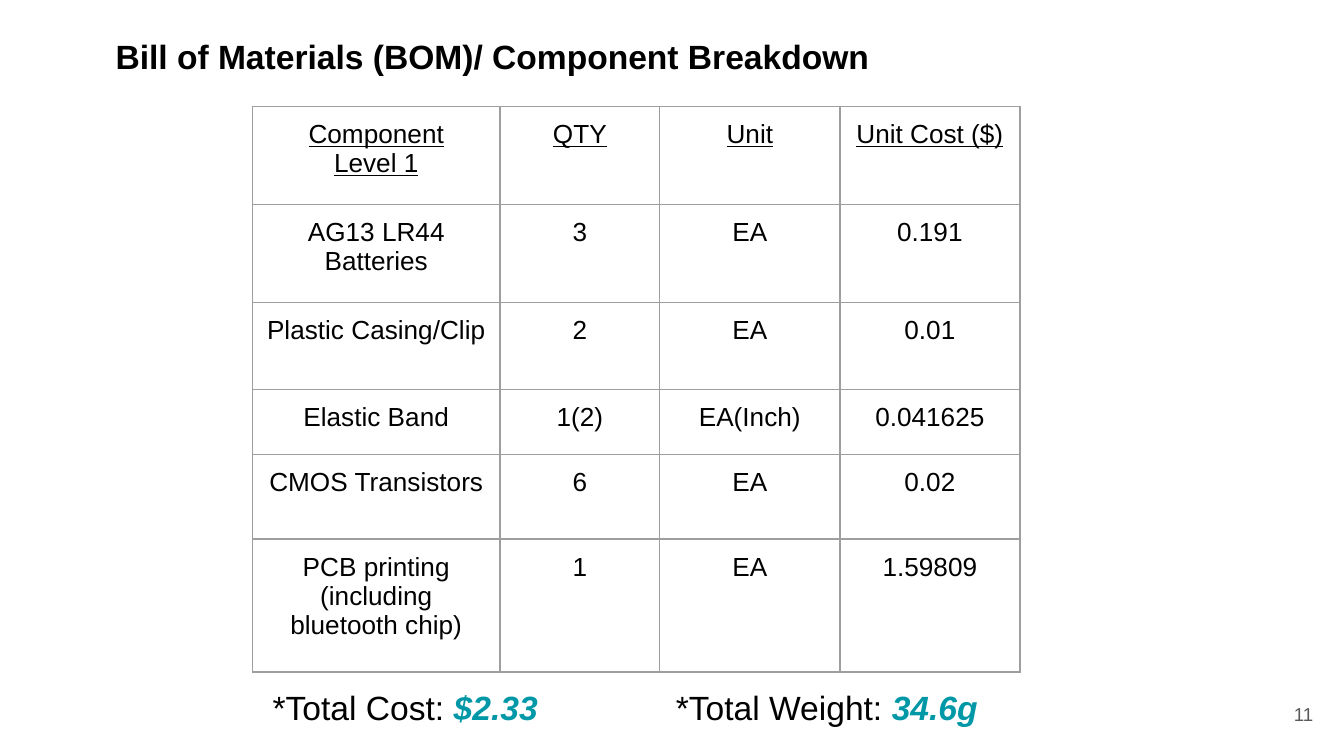
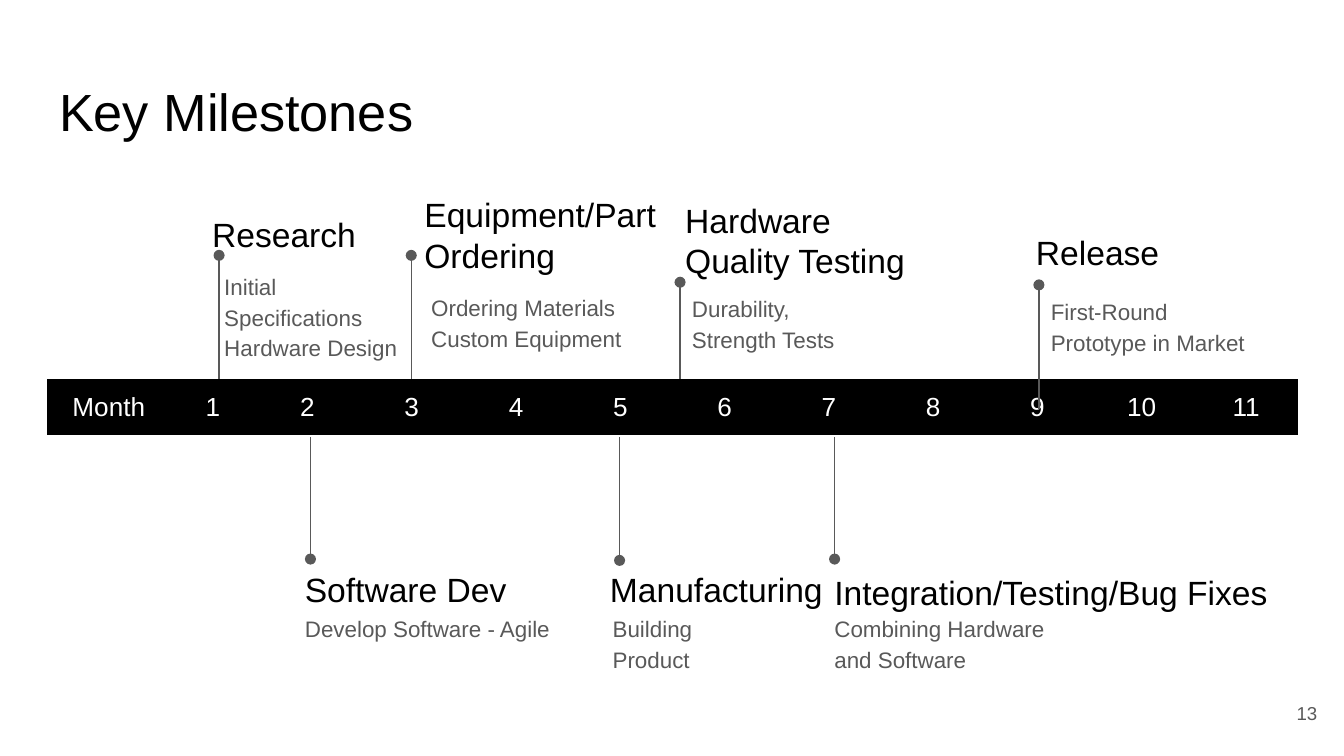
"""Build the bill of materials and key milestones slides."""
from dataclasses import dataclass
from lxml.etree import SubElement
from pptx import Presentation
from pptx.dml.color import RGBColor as RGB
from pptx.enum.shapes import MSO_CONNECTOR as Link
from pptx.enum.text import MSO_ANCHOR as Anchor, MSO_AUTO_SIZE as Fit, PP_ALIGN as Align
from pptx.oxml import parse_xml
from pptx.oxml.ns import nsdecls, qn
from pptx.util import Pt

PX = 9144
PAD = 10 * PX
PLAIN = "{2D5ABB26-0587-4C30-8999-92F81FD0307C}"


@dataclass(frozen=True)
class Theme:
    """Hold the shared colours, font and type sizes."""
    font: str = "Arial"
    ink: str = "000000"
    gray: str = "595959"
    rule: str = "9E9E9E"
    teal: str = "0097A7"
    white: str = "FFFFFF"
    big: int = 28
    head: int = 18
    cell: int = 14
    note: int = 12
    page: int = 10


T = Theme()


def style(frame, size, color, align=Align.LEFT, lead=1.0):
    """Format every run of a text frame."""
    for para in frame.paragraphs:
        para.alignment, para.line_spacing = align, lead
        for run in para.runs:
            run.font.name, run.font.size = T.font, Pt(size)
            run.font.color.rgb = RGB.from_string(color)


def place(shape, spot, text, size, color, anchor=Anchor.TOP, align=Align.LEFT, lead=1.0):
    """Move a text shape, fill it and format it."""
    shape.left, shape.top, shape.width, shape.height = [n * PX for n in spot]
    frame = shape.text_frame
    frame.text = text
    frame.word_wrap, frame.auto_size = True, Fit.NONE
    frame.vertical_anchor = anchor
    frame.margin_left = frame.margin_right = frame.margin_top = frame.margin_bottom = PAD
    style(frame, size, color, align, lead)
    return frame


deck = Presentation()
deck.slide_width = 1000 * PX
deck.slide_height = deck.slide_width * 9 // 16
bom, plan = [deck.slides.add_slide(deck.slide_layouts[5]) for _ in range(2)]

title = place(bom.shapes.title, (26, 12, 932, 61),
              "Bill of Materials (BOM)/ Component Breakdown", T.head, T.ink, lead=1.15)
title.paragraphs[0].runs[0].font.bold = True
props = title.paragraphs[0]._p.get_or_add_pPr()
props.set("marL", str(50 * PX))
props.set("indent", "0")
place(plan.shapes.title, (34, 49, 932, 63), "Key Milestones", T.big, T.ink)

parts = [
    ("Component\nLevel 1", "QTY", "Unit", "Unit Cost ($)"),
    ("AG13 LR44 Batteries", "3", "EA", "0.191"),
    ("Plastic Casing/Clip", "2", "EA", "0.01"),
    ("Elastic Band", "1(2)", "EA(Inch)", "0.041625"),
    ("CMOS Transistors", "6", "EA", "0.02"),
    ("PCB printing\n(including bluetooth chip)", "1", "EA", "1.59809"),
]
months = [("Month", *[str(n) for n in range(1, 12)])]
tables = [
    (bom, 188, 79, [184, 119, 134, 134], [73, 73, 65, 48, 63, 99], parts, T.ink, None, T.rule),
    (plan, 35, 282, [92, 63] + [776 / 10] * 10, [42], months, T.white, T.ink, None),
]
for slide, left, top, wides, highs, rows, color, fill, edge in tables:
    table = slide.shapes.add_table(len(highs), len(wides), left * PX, top * PX,
                                   int(sum(wides) * PX), sum(highs) * PX).table
    table.first_row = table.horz_banding = False
    table._tbl.tblPr.find(qn("a:tableStyleId")).text = PLAIN
    for col, wide in zip(table.columns, wides):
        col.width = int(wide * PX)
    for row, high, texts in zip(table.rows, highs, rows):
        row.height = high * PX
        for cell, text in zip(row.cells, texts):
            cell.text_frame.text = text
            cell.margin_left = cell.margin_right = cell.margin_top = cell.margin_bottom = PAD
            style(cell.text_frame, T.cell, color, Align.CENTER)
            if edge:
                for side in ("lnL", "lnR", "lnT", "lnB"):
                    cell._tc.get_or_add_tcPr().append(parse_xml(
                        f'<a:{side} {nsdecls("a")} w="9525"><a:solidFill>'
                        f'<a:srgbClr val="{edge}"/></a:solidFill></a:{side}>'))
            if fill:
                cell.fill.solid()
                cell.fill.fore_color.rgb = RGB.from_string(fill)
            else:
                cell.fill.background()
    if slide is bom:
        for cell in table.rows[0].cells:
            for para in cell.text_frame.paragraphs:
                para.runs[0].font.underline = True

sums = place(bom.shapes.add_textbox(0, 0, 0, 0), (193, 501, 614, 61), "", T.head, T.ink)
stops = SubElement(sums.paragraphs[0]._p.get_or_add_pPr(), qn("a:tabLst"))
for stop in (200, 300):
    SubElement(stops, qn("a:tab"), pos=str(stop * PX), algn="l")
for text, key in [("*Total Cost: ", False), ("$2.33", True),
                  ("\t\t*Total Weight: ", False), ("34.6g", True)]:
    run = sums.paragraphs[0].add_run()
    run.text = text
    run.font.name, run.font.size = T.font, Pt(T.head)
    run.font.bold = run.font.italic = key
    run.font.color.rgb = RGB.from_string(T.teal if key else T.ink)

steps = [
    ("Research", (148, 153, 198, 43), "Initial \vSpecifications\vHardware Design",
     (157, 190, 211, 63), (163, 282, 190)),
    ("Software Dev", (217, 417, 293, 43), "Develop Software - Agile",
     (217, 445, 232, 63), (231, 325, 416)),
    ("Equipment/Part\vOrdering", (306, 153, 194, 43), "Ordering Materials\vCustom Equipment",
     (311, 206, 211, 63), (306, 282, 190)),
    ("Integration/Testing/Bug Fixes", (611, 419, 369, 43), "Combining Hardware and Software",
     (611, 445, 182, 31), (621, 325, 416)),
    ("Hardware Quality Testing", (500, 157, 198, 43), "Durability, \vStrength Tests",
     (505, 207, 135, 63), (506, 302, 210)),
    ("Manufacturing", (444, 417, 182, 43), "Building Product",
     (446, 445, 135, 63), (461, 325, 417)),
    ("Release", (761, 166, 198, 43), "First-Round Prototype in Market",
     (772, 209, 182, 63), (773, 304, 212)),
]
pins = []
for name, spot, note, area, (x, start, end) in steps:
    pin = plan.shapes.add_connector(Link.STRAIGHT, x * PX, start * PX, x * PX, end * PX)
    pin.line.color.rgb = RGB.from_string(T.gray)
    pin.line.width = Pt(0.75)
    SubElement(pin.line._get_or_add_ln(), qn("a:tailEnd")).set("type", "oval")
    SubElement(pin._element.spPr, qn("a:effectLst"))
    if name != "Release":
        pins.append(pin._element)
    place(plan.shapes.add_textbox(0, 0, 0, 0), spot, name, T.head, T.ink, Anchor.MIDDLE)
    place(plan.shapes.add_textbox(0, 0, 0, 0), area, note, T.note, T.gray, lead=1.15)
for pin in pins:
    plan.shapes._spTree.insert(2, pin)

for slide, left, top, page in [(bom, 927, 510, "11"), (plan, 930, 509, "13")]:
    place(slide.shapes.add_textbox(0, 0, 0, 0), (left, top, 60, 43), page,
          T.page, T.gray, Anchor.MIDDLE, Align.RIGHT)

deck.save("out.pptx")
